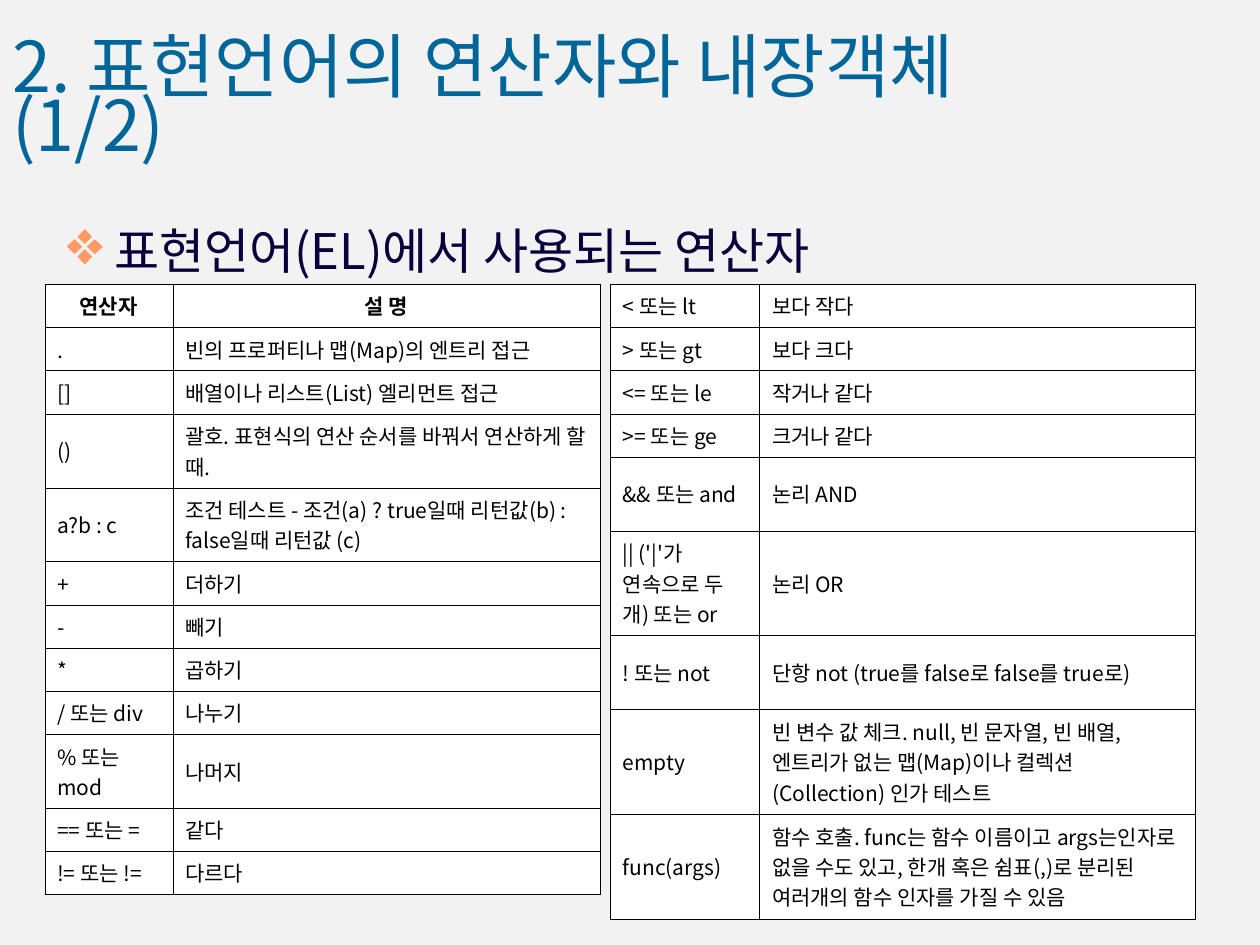
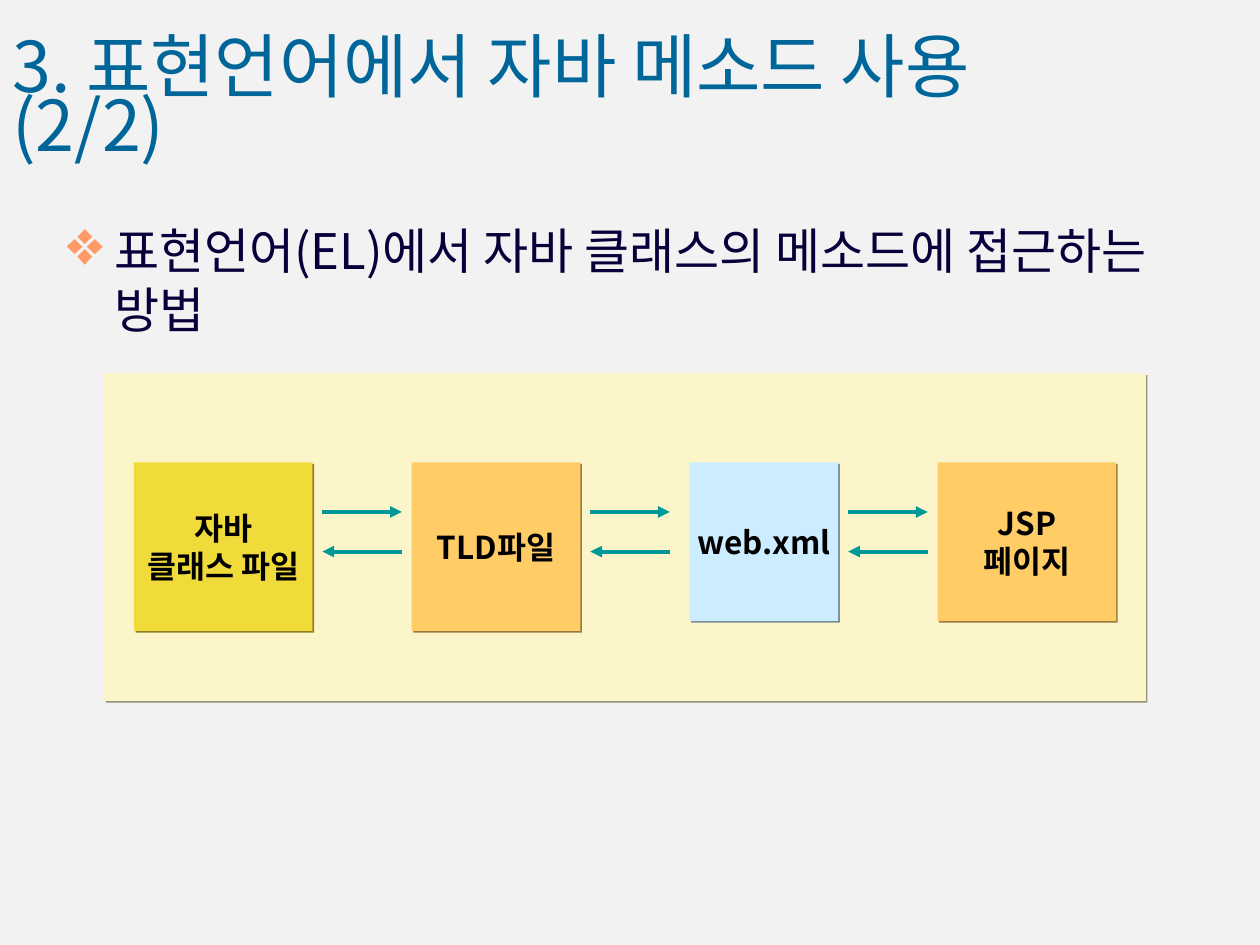
"""Build two lecture slides on expression language operators and Java methods."""
from lxml import etree
from pptx import Presentation
from pptx.dml.color import RGBColor
from pptx.enum import shapes, text
from pptx.oxml.ns import qn
from pptx.util import Cm, Pt

FONT = "Noto Sans CJK KR"
COLORS = {
    "back": "F2F2F2", "title": "006699", "body": "08003A", "bullet": "FF9966",
    "black": "000000", "label": "010000", "white": "FFFFFF", "arrow": "009999",
    "panel": "FBF5C9", "yellow": "F1DB3B", "orange": "FFCC66", "sky": "CCECFF",
}
SHADOWS = {"panel": "979379", "yellow": "918323", "orange": "997A3D", "sky": "7A8E99"}

OPERATORS = {
    "title": "2. 표현언어의 연산자와 내장객체(1/2)",
    "body": "표현언어(EL)에서 사용되는 연산자",
    "tables": [
        {"left": 0.9, "cols": (2.58, 8.62), "header": True, "rows": [
            ("연산자", "설 명", 1),
            (".", "빈의 프로퍼티나 맵(Map)의 엔트리 접근", 1),
            ("[]", "배열이나 리스트(List) 엘리먼트 접근", 1),
            ("()", "괄호. 표현식의 연산 순서를 바꿔서 연산하게 할 때.", 2),
            ("a?b : c", "조건 테스트 - 조건(a) ? true일때 리턴값(b) : false일때 리턴값 (c)", 2),
            ("+", "더하기", 1),
            ("-", "빼기", 1),
            ("*", "곱하기", 1),
            ("/ 또는 div", "나누기", 1),
            ("% 또는 mod", "나머지", 2),
            ("== 또는 =", "같다", 1),
            ("!= 또는 !=", "다르다", 1),
        ]},
        {"left": 12.3, "cols": (3.01, 8.79), "header": False, "rows": [
            ("< 또는 lt", "보다 작다", 1),
            ("> 또는 gt", "보다 크다", 1),
            ("<= 또는 le", "작거나 같다", 1),
            (">= 또는 ge", "크거나 같다", 1),
            ("&& 또는 and", "논리 AND", 2),
            ("|| ('|'가 연속으로 두개) 또는 or", "논리 OR", 3),
            ("! 또는 not", "단항 not (true를 false로 false를 true로)", 2),
            ("empty", "빈 변수 값 체크. null, 빈 문자열, 빈 배열, 엔트리가 없는 맵(Map)이나 "
                      "컬렉션(Collection) 인가 테스트", 3),
            ("func(args)", "함수 호출. func는 함수 이름이고 args는인자로 없을 수도 있고, "
                           "한개 혹은 쉼표(,)로 분리된 여러개의 함수 인자를 가질 수 있음", 3),
        ]},
    ],
}
METHODS = {
    "title": "3. 표현언어에서 자바 메소드 사용(2/2)",
    "body": "표현언어(EL)에서 자바 클래스의 메소드에 접근하는 방법",
    "steps": [
        (["자바", "클래스 파일"], "yellow", 2.7, 3.6, 3.4),
        (["TLD파일"], "orange", 8.3, 3.4, 3.4),
        (["web.xml"], "sky", 13.9, 3.0, 3.2),
        (["JSP", "페이지"], "orange", 18.9, 3.6, 3.2),
    ],
}
TITLE_BOX = (0, 0.7, 21.7, 2.8)
BODY_BOX = (1.1, 4.32, 23.4, 1.6)
TABLE_TOP, ROW_H, LINE_H = 5.73, 0.87, 0.62
PANEL = (2.1, 7.53, 21.0, 6.6)
STEP_TOP, ARROW_GAP, ARROW_LEN = 9.32, 0.2, 1.6
ARROW_OUT, ARROW_BACK = 10.32, 11.12


def rgb(name):
    return RGBColor.from_string(COLORS[name])


def add_xml(parent, tag, **attrs):
    return etree.SubElement(parent, qn(tag), attrs)


def add_color(parent, value):
    add_xml(parent, "a:srgbClr", val=value)


def style(p, size, color, bold=False):
    p.font.name, p.font.size, p.font.bold = FONT, Pt(size), bold
    p.font.color.rgb = rgb(color)
    props = p._p.pPr.find(qn("a:defRPr"))
    props.set("kern", "0")
    latin = props.find(qn("a:latin"))
    latin.addnext(latin.makeelement(qn("a:ea"), {"typeface": FONT}))


def add_text(s, words, box):
    tf = s.shapes.add_textbox(*map(Cm, box)).text_frame
    tf.word_wrap = True
    p = tf.paragraphs[0]
    p.text = words
    return tf, p


def add_heading(s, content):
    tf, p = add_text(s, content["title"], TITLE_BOX)
    tf.vertical_anchor = text.MSO_ANCHOR.MIDDLE
    p.line_spacing = 0.7
    style(p, 40, "title")
    tf, p = add_text(s, content["body"], BODY_BOX)
    pPr = p._p.get_or_add_pPr()
    pPr.set("marL", str(Cm(0.95)))
    pPr.set("indent", str(Cm(-0.95)))
    add_color(add_xml(pPr, "a:buClr"), COLORS["bullet"])
    add_xml(pPr, "a:buSzPct", val="130000")
    add_xml(pPr, "a:buChar", char="❖")
    style(p, 28, "body")


def fill_cell(cell, words, head):
    cell.text = words
    cell.vertical_anchor = text.MSO_ANCHOR.MIDDLE
    p = cell.text_frame.paragraphs[0]
    p.alignment = text.PP_ALIGN.CENTER if head else text.PP_ALIGN.LEFT
    style(p, 12, "black", head)
    tcPr = cell._tc.get_or_add_tcPr()
    for side in ("a:lnL", "a:lnR", "a:lnT", "a:lnB"):
        ln = add_xml(tcPr, side, w="762")
        add_color(add_xml(ln, "a:solidFill"), COLORS["black"])
    cell.fill.solid()
    cell.fill.fore_color.rgb = rgb("white")


def add_operators(s, left, cols, header, rows):
    heights = [ROW_H + LINE_H * (lines - 1) for *_, lines in rows]
    box = (left, TABLE_TOP, sum(cols), sum(heights))
    tbl = s.shapes.add_table(len(rows), len(cols), *map(Cm, box)).table
    for col, width in zip(tbl.columns, cols):
        col.width = Cm(width)
    for i, (*cells, _) in enumerate(rows):
        tbl.rows[i].height = Cm(heights[i])
        for j, words in enumerate(cells):
            fill_cell(tbl.cell(i, j), words, header and i == 0)


def add_block(s, box, color):
    sp = s.shapes.add_shape(shapes.MSO_SHAPE.RECTANGLE, *map(Cm, box))
    sp.fill.solid()
    sp.fill.fore_color.rgb = rgb(color)
    sp.line.fill.background()
    sp.shadow.inherit = False
    effects = sp._element.spPr.find(qn("a:effectLst"))
    add_color(add_xml(effects, "a:outerShdw", blurRad="0", dist=str(Pt(1.4)),
                      dir="2700000", algn="ctr", rotWithShape="0"), SHADOWS[color])
    return sp


def add_arrow(s, x1, x2, y):
    c = s.shapes.add_connector(shapes.MSO_CONNECTOR.STRAIGHT, Cm(x1), Cm(y), Cm(x2), Cm(y))
    c.line.color.rgb = rgb("arrow")
    c.line.width = Pt(2.25)
    add_xml(c.line._get_or_add_ln(), "a:tailEnd", type="triangle")
    add_xml(c._element.spPr, "a:effectLst")


def add_flow(s, steps):
    add_block(s, PANEL, "panel")
    for i, (lines, color, left, width, height) in enumerate(steps):
        tf = add_block(s, (left, STEP_TOP, width, height), color).text_frame
        tf.word_wrap = False
        tf.vertical_anchor = text.MSO_ANCHOR.MIDDLE
        for j, line in enumerate(lines):
            p = tf.add_paragraph() if j else tf.paragraphs[0]
            p.text = line
            p.alignment = text.PP_ALIGN.CENTER
            style(p, 18, "label", True)
        if i < len(steps) - 1:
            start = left + width + ARROW_GAP
            add_arrow(s, start, start + ARROW_LEN, ARROW_OUT)
            add_arrow(s, start + ARROW_LEN, start, ARROW_BACK)


def add_slide(prs, content):
    s = prs.slides.add_slide(prs.slide_layouts[6])
    s.background.fill.solid()
    s.background.fill.fore_color.rgb = rgb("back")
    add_heading(s, content)
    return s


def main():
    prs = Presentation()
    prs.slide_width, prs.slide_height = Cm(25.4), Cm(19.05)
    s = add_slide(prs, OPERATORS)
    for table in OPERATORS["tables"]:
        add_operators(s, **table)
    add_flow(add_slide(prs, METHODS), METHODS["steps"])
    prs.save("out.pptx")


if __name__ == "__main__":
    main()
